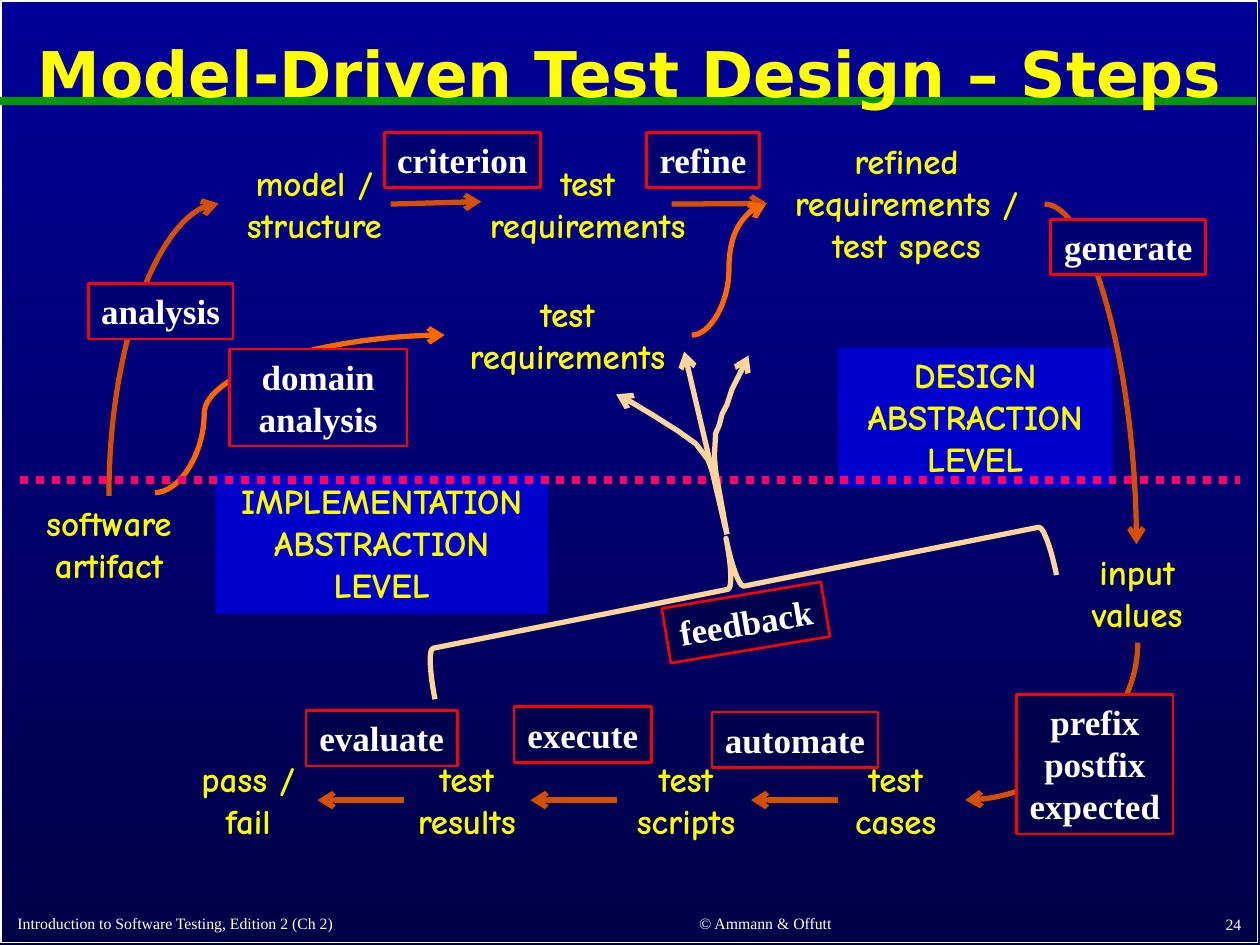
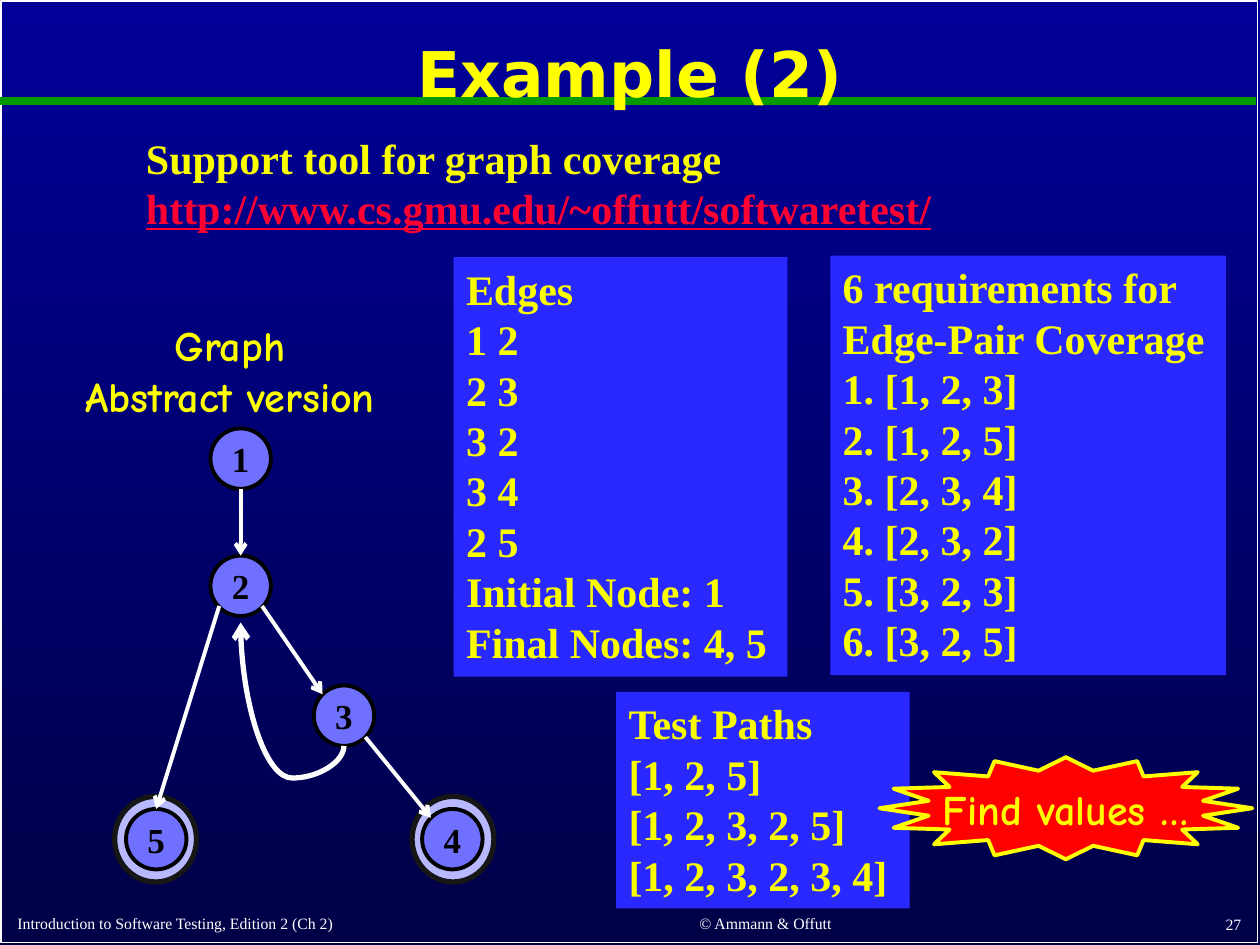
from typing import NamedTuple, Optional

import pptx
import pptx.dml.color
import pptx.enum.dml
import pptx.enum.shapes
import pptx.enum.text
import pptx.oxml.ns
import pptx.util
from lxml import etree

Inches = pptx.util.Inches
SHAPE = pptx.enum.shapes.MSO_SHAPE
LINK = pptx.enum.shapes.MSO_CONNECTOR
ANCHOR = pptx.enum.text.MSO_ANCHOR
ALIGN = pptx.enum.text.PP_ALIGN
FIT = pptx.enum.text.MSO_AUTO_SIZE
qn = pptx.oxml.ns.qn

COLORS = {
    "sky": "000099", "ground": "000047", "white": "FFFFFF", "black": "000000",
    "rule": "009900", "yellow": "FFFF00", "lemon": "FAFD00", "level": "0000CC",
    "upper": "000073", "lower": "00004C", "red": "FF0000", "url": "FF0033",
    "flow": "D45000", "domain": "FF6600", "divider": "FF0066", "feedback": "FFD699",
    "panel": "2929FF", "node": "7070FF", "final": "B8B8FF", "ring": "161616",
}
SERIF, COMIC, SANS = "Times New Roman", "Comic Neue", "DejaVu Sans"


class Area(NamedTuple):
    left: float
    top: float
    width: float
    height: float


class Label(NamedTuple):
    text: str
    area: Area
    color: str = "lemon"
    rotation: float = 0


class Arrow(NamedTuple):
    start: tuple[float, float]
    end: tuple[float, float]


class Curve(NamedTuple):
    area: Area
    color: str
    rotation: int = 0
    flips: str = ""
    bend: Optional[float] = None


class Node(NamedTuple):
    name: str
    left: float
    top: float


def rgb(name: str):
    return pptx.dml.color.RGBColor.from_string(COLORS[name])


def write(shape, text: str, *, size=20, font=SERIF, color="white", bold=True,
          align=ALIGN.CENTER, anchor=ANCHOR.TOP, wrap=True, grow=True, spacing=None):
    frame = shape.text_frame
    frame.word_wrap = wrap
    frame.vertical_anchor = anchor
    frame.auto_size = FIT.SHAPE_TO_FIT_TEXT if grow else FIT.NONE
    for index, line in enumerate(text.split("\n")):
        paragraph = frame.add_paragraph() if index else frame.paragraphs[0]
        paragraph.alignment = align
        if spacing:
            paragraph.line_spacing = spacing
        run = paragraph.add_run()
        run.text = line
        run.font.size = pptx.util.Pt(size)
        run.font.name = font
        run.font.bold = bold
        run.font.color.rgb = rgb(color)
    return shape


def place_text(slide, text: str, area: Area, **text_format):
    return write(slide.shapes.add_textbox(*map(Inches, area)), text, **text_format)


def paint(shape, fill=None, line=None, weight=1.0):
    shape.shadow.inherit = False
    if fill:
        shape.fill.solid()
        shape.fill.fore_color.rgb = rgb(fill)
    else:
        shape.fill.background()
    if line:
        shape.line.color.rgb = rgb(line)
        shape.line.width = pptx.util.Pt(weight)
    else:
        shape.line.fill.background()
    return shape


def place_shape(slide, kind, area: Area, fill=None, line=None, weight=1.0):
    shape = slide.shapes.add_shape(kind, *map(Inches, area))
    return paint(shape, fill, line, weight)


def add_tail(shape):
    line = shape.element.spPr.find(qn("a:ln"))
    etree.SubElement(line, qn("a:tailEnd"), type="arrow")


def stroke(connector, color: str, weight: float, arrow: bool, dash=None):
    connector.line.color.rgb = rgb(color)
    connector.line.width = pptx.util.Pt(weight)
    if dash:
        connector.line.dash_style = dash
    if arrow:
        add_tail(connector)
    etree.SubElement(connector.element.spPr, qn("a:effectLst"))
    return connector


def place_line(slide, line: Arrow, color: str, weight=3.0, arrow=True, dash=None):
    connector = slide.shapes.add_connector(
        LINK.STRAIGHT, *map(Inches, (*line.start, *line.end)))
    return stroke(connector, color, weight, arrow, dash)


def place_curve(slide, curve: Curve):
    left, top, width, height = curve.area
    connector = slide.shapes.add_connector(
        LINK.CURVE, *map(Inches, (left, top, left + width, top + height)))
    properties = connector.element.spPr
    transform = properties.find(qn("a:xfrm"))
    transform.set("rot", str(curve.rotation * 60000))
    for flip in curve.flips:
        transform.set(f"flip{flip}", "1")
    geometry = properties.find(qn("a:prstGeom"))
    if curve.bend is None:
        geometry.set("prst", "curvedConnector2")
    else:
        guides = geometry.find(qn("a:avLst"))
        if guides is None:
            guides = etree.SubElement(geometry, qn("a:avLst"))
        etree.SubElement(guides, qn("a:gd"), name="adj1",
                         fmla=f"val {round(curve.bend * 100000)}")
    stroke(connector, curve.color, 3, True)


def place_action(slide, action: Label, wrap=False):
    box = place_shape(slide, SHAPE.RECTANGLE, action.area, action.color, "red", 1.5)
    box.rotation = action.rotation
    write(box, action.text, wrap=wrap)


def start_slide(deck, title: str, number: int):
    slide = deck.slides.add_slide(deck.slide_layouts[6])
    fill = slide.background.fill
    fill.gradient()
    fill.gradient_angle = 270
    for stop, color in zip(fill.gradient_stops, ("sky", "ground")):
        stop.color.rgb = rgb(color)
    place_shape(slide, SHAPE.RECTANGLE, Area(0.01, 0.01, 9.97, 7.47), line="white")
    place_line(slide, Arrow((0, 0.8), (9.97, 0.8)), "rule", 4.5, arrow=False)
    place_text(slide, title, Area(0.05, 0.11, 9.9, 1), size=36, font=SANS,
               color="yellow", anchor=ANCHOR.MIDDLE, grow=False, spacing=0.9)
    footers = (
        ("Introduction to Software Testing, Edition 2 (Ch 2)",
         Area(0.04, 7.18, 4.2, 0.27), ALIGN.LEFT),
        ("© Ammann & Offutt", Area(4.49, 7.17, 3.17, 0.28), ALIGN.CENTER),
        (str(number), Area(7.87, 7.17, 2.08, 0.29), ALIGN.RIGHT),
    )
    for text, area, align in footers:
        place_text(slide, text, area, size=9, bold=False, align=align,
                   anchor=ANCHOR.BOTTOM, grow=False)
    return slide


def place_feedback(slide):
    brace = place_shape(slide, SHAPE.LEFT_BRACE, Area(5.44, 2.15, 0.8, 5.03),
                        line="feedback", weight=3)
    brace.adjustments[0], brace.adjustments[1] = 0.08, 0.5
    brace.rotation = 78.7
    branches = (
        ((5.77, 4.24), (5.68, 3.74), (5.67, 3.62), (5.68, 3.44), (5.71, 3.37),
         (5.73, 3.29), (5.77, 3.21), (5.81, 3.09), (5.88, 2.95), (5.91, 2.87),
         (5.94, 2.82)),
        ((5.76, 4.2), (5.66, 3.76), (5.62, 3.65), (5.56, 3.57), (5.52, 3.52),
         (5.45, 3.47), (5.38, 3.42), (5.3, 3.37), (5.19, 3.3), (5.04, 3.21),
         (4.96, 3.16), (4.89, 3.13)),
    )
    for branch in branches:
        start, *rest = [tuple(map(Inches, point)) for point in branch]
        outline = slide.shapes.build_freeform(*start)
        outline.add_line_segments(rest, close=False)
        add_tail(paint(outline.convert_to_shape(), line="feedback", weight=3))
    place_line(slide, Arrow((5.77, 4.24), (5.43, 2.79)), "feedback")
    place_action(slide, Label("feedback", Area(5.28, 4.72, 1.28, 0.44), "lower", 350.5))


def build_steps(deck):
    slide = start_slide(deck, "Model-Driven Test Design – Steps", 24)
    artifacts = (
        Label("software artifact", Area(0.11, 3.93, 1.51, 0.77)),
        Label("model / structure", Area(1.74, 1.23, 1.51, 0.77)),
        Label("test requirements", Area(3.68, 1.23, 1.97, 0.77)),
        Label("test requirements", Area(3.52, 2.27, 1.97, 0.77), "yellow"),
        Label("input values", Area(8.27, 4.32, 1.51, 0.77)),
        Label("test cases", Area(6.56, 5.96, 1.1, 0.77)),
        Label("test scripts", Area(4.82, 5.96, 1.25, 0.77)),
        Label("test results", Area(3.08, 5.96, 1.25, 0.77)),
        Label("pass / fail", Area(1.35, 5.96, 1.24, 0.77)),
        Label("refined requirements / test specs", Area(6.09, 1.06, 2.21, 1.11)),
    )
    for artifact in artifacts:
        refined = place_text(slide, artifact.text, artifact.area, font=COMIC,
                             color=artifact.color)

    levels = (
        Label("IMPLEMENTATION\nABSTRACTION\nLEVEL", Area(1.71, 3.76, 2.64, 1.11)),
        Label("DESIGN\nABSTRACTION\nLEVEL", Area(6.65, 2.76, 2.18, 1.11)),
    )
    for level in levels:
        box = place_shape(slide, SHAPE.RECTANGLE, level.area, "level")
        write(box, level.text, font=COMIC, color=level.color, wrap=False)

    place_line(slide, Arrow((3.1, 1.62), (3.82, 1.6)), "flow")
    to_refined = place_line(slide, Arrow((5.33, 1.62), (6.09, 1.62)), "flow")
    to_refined.end_connect(refined, 1)
    for start in (3.21, 4.9, 6.65):
        place_line(slide, Arrow((start, 6.35), (start - 0.69, 6.35)), "flow")
    for curve in (
        Curve(Area(0.14, 2.34, 2.32, 0.87), "flow", 90, "HV"),
        Curve(Area(7.72, 5.04, 1.25, 1.37), "flow", 90),
        Curve(Area(8.29, 1.62, 0.73, 2.7), "flow"),
        Curve(Area(1.23, 2.66, 2.3, 1.25), "domain", 0, "V", 0.17),
        Curve(Area(5.49, 1.62, 0.59, 1.04), "domain", 0, "V", 0.5),
    ):
        place_curve(slide, curve)
    place_line(slide, Arrow((0.16, 3.81), (9.84, 3.81)), "divider", 4.5, arrow=False,
               dash=pptx.enum.dml.MSO_LINE.ROUND_DOT)

    for action in (
        Label("analysis", Area(0.7, 2.25, 1.15, 0.44), "upper"),
        Label("criterion", Area(3.05, 1.05, 1.24, 0.44), "upper"),
        Label("refine", Area(5.13, 1.05, 0.9, 0.44), "upper"),
        Label("generate", Area(8.34, 1.74, 1.23, 0.44), "upper"),
        Label("prefix\npostfix\nexpected", Area(8.07, 5.51, 1.24, 1.11), "lower"),
        Label("automate", Area(5.65, 5.65, 1.32, 0.44), "lower"),
        Label("execute", Area(4.08, 5.61, 1.09, 0.44), "lower"),
        Label("evaluate", Area(2.43, 5.64, 1.2, 0.44), "lower"),
    ):
        place_action(slide, action)
    place_action(slide, Label("domain analysis", Area(1.82, 2.77, 1.41, 0.77), "upper"),
                 wrap=True)
    place_feedback(slide)


def place_graph(slide):
    for left in (0.91, 3.27):
        place_shape(slide, SHAPE.OVAL, Area(left, 6.32, 0.65, 0.68), "final", "ring", 3)
    for node in (Node("4", 3.35, 6.42), Node("5", 1, 6.42), Node("3", 2.49, 5.44),
                 Node("2", 1.67, 4.41), Node("1", 1.67, 3.4)):
        circle = place_shape(slide, SHAPE.OVAL, Area(node.left, node.top, 0.48, 0.48),
                             "node", "black", 2.25)
        write(circle, node.name, color="black", anchor=ANCHOR.MIDDLE, grow=False)
    for edge in (
        Arrow((1.91, 3.88), (1.91, 4.41)),
        Arrow((1.74, 4.81), (1.24, 6.42)),
        Arrow((2.9, 5.85), (3.42, 6.49)),
        Arrow((2.08, 4.81), (2.56, 5.51)),
    ):
        place_line(slide, edge, "white", 2.25)
    place_curve(slide, Curve(Area(1.83, 5.02, 0.98, 0.82), "white", 90, "H", -0.26))
    place_text(slide, "Graph\nAbstract version", Area(0.18, 2.49, 3.29, 0.91),
               size=24, font=COMIC, color="yellow")


def build_example(deck):
    slide = start_slide(deck, "Example (2)", 27)
    tool = place_text(
        slide,
        "Support tool for graph coverage\nhttp://www.cs.gmu.edu/~offutt/softwaretest/",
        Area(1.06, 1, 7.88, 0.91), size=24, color="lemon", align=ALIGN.LEFT)
    address = tool.text_frame.paragraphs[1].runs[0].font
    address.color.rgb = rgb("url")
    address.underline = True
    place_graph(slide)
    for panel in (
        Label("Edges\n1 2\n2 3\n3 2\n3 4\n2 5\nInitial Node: 1\nFinal Nodes: 4, 5",
              Area(3.6, 2.04, 2.65, 3.33)),
        Label("6 requirements for Edge-Pair Coverage\n1. [1, 2, 3]\n2. [1, 2, 5]\n"
              "3. [2, 3, 4]\n4. [2, 3, 2]\n5. [3, 2, 3]\n6. [3, 2, 5]",
              Area(6.59, 2.03, 3.14, 3.33)),
        Label("Test Paths\n[1, 2, 5]\n[1, 2, 3, 2, 5]\n[1, 2, 3, 2, 3, 4]",
              Area(4.89, 5.49, 2.33, 1.72)),
    ):
        box = place_shape(slide, SHAPE.RECTANGLE, panel.area, "panel")
        write(box, panel.text, size=24, color=panel.color, align=ALIGN.LEFT)
    burst = place_shape(slide, SHAPE.STAR_16_POINT, Area(6.98, 6.01, 2.96, 0.81),
                        "red", "yellow", 2.25)
    write(burst, "Find values …", size=24, font=COMIC, color="yellow",
          anchor=ANCHOR.MIDDLE, wrap=False, grow=False)


def main():
    deck = pptx.Presentation()
    deck.slide_width, deck.slide_height = Inches(10), Inches(7.5)
    build_steps(deck)
    build_example(deck)
    deck.save("out.pptx")


if __name__ == "__main__":
    main()
